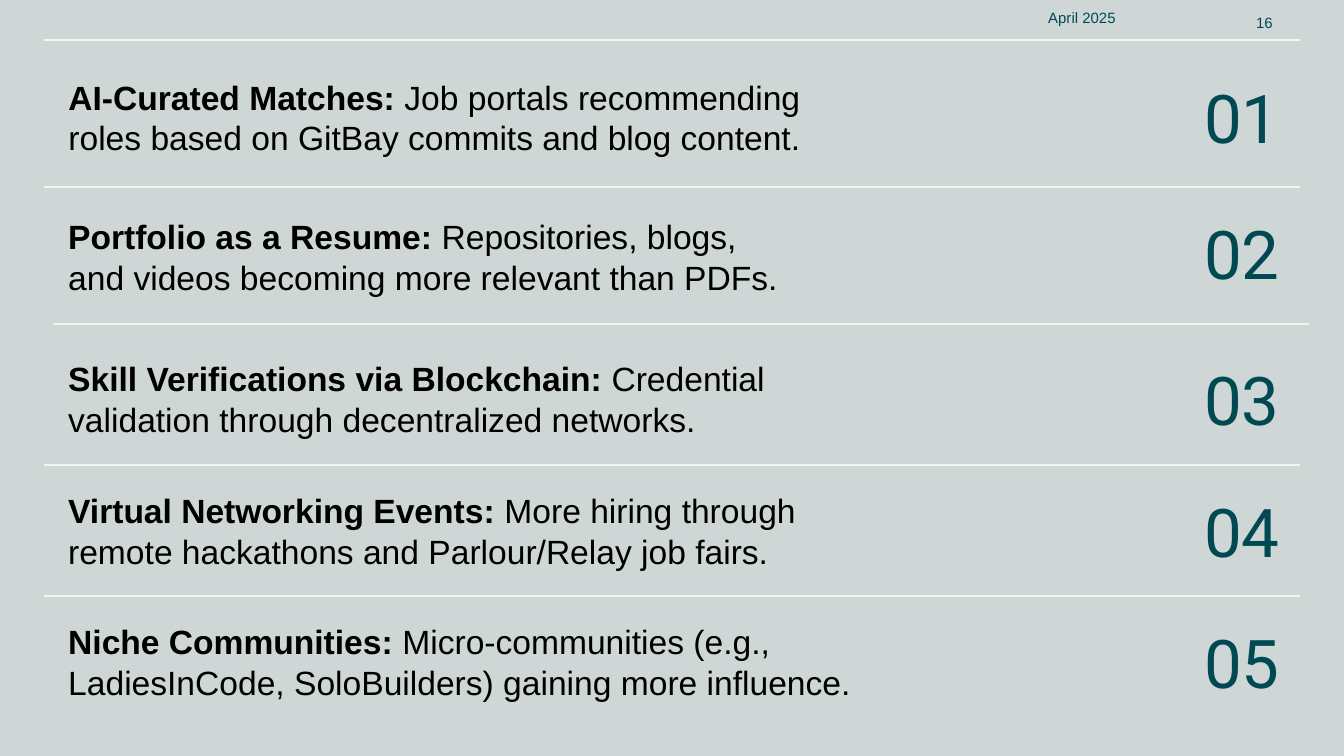
import pptx
import pptx.util
from pptx.dml.color import RGBColor
from pptx.enum.shapes import MSO_CONNECTOR
from pptx.enum.text import MSO_ANCHOR, MSO_AUTO_SIZE, PP_ALIGN
from pptx.oxml.ns import qn
from lxml import etree

PX = 914400 / 134.4
COLORS = {"background": "CED7D6", "rule": "F4F3EC", "accent": "004852", "text": "000000"}

# heading, description, (top, width, height) of the text, top of the number
TRENDS = [
    ("AI-Curated Matches:",
     " Job portals recommending roles based on GitBay commits and blog content.",
     (63, 785, 109), 63),
    ("Portfolio as a Resume:",
     " Repositories, blogs, and videos becoming more relevant than PDFs.",
     (184, 751, 145), 199),
    ("Skill Verifications via Blockchain:",
     " Credential validation through decentralized networks.",
     (345, 731, 109), 345),
    ("Virtual Networking Events:",
     " More hiring through remote hackathons and Parlour/Relay job fairs.",
     (477, 801, 109), 477),
    ("Niche Communities:",
     " Micro-communities (e.g., LadiesInCode, SoloBuilders) gaining more influence.",
     (608, 884, 109), 608),
]
TEXT_LEFT, NUMBER_LEFT, NUMBER_WIDTH, NUMBER_HEIGHT = 55, 978, 315, 109
RULES = [(44, 40), (44, 187), (53, 324), (44, 465), (44, 596)]  # left, y
RULE_WIDTH = 1256


def px(n):
    return pptx.util.Emu(round(n * PX))


def color(name):
    return RGBColor.from_string(COLORS[name])


def fill_text(sp, box, runs, size, name, font="Arial", align=PP_ALIGN.LEFT,
              anchor=MSO_ANCHOR.TOP):
    """Place a text shape and fill it with (text, bold) runs."""
    sp.left, sp.top, sp.width, sp.height = map(px, box)
    tf = sp.text_frame
    tf.word_wrap = True
    tf.auto_size = MSO_AUTO_SIZE.NONE
    tf.vertical_anchor = anchor
    tf.margin_left = tf.margin_right = tf.margin_top = tf.margin_bottom = pptx.util.Inches(0.1)
    p = tf.paragraphs[0]
    p.alignment = align
    p.line_spacing = 1.0
    p.space_before = pptx.util.Pt(0)
    for text, bold in runs:
        r = p.add_run()
        r.text = text
        r.font.size = pptx.util.Pt(size)
        r.font.name = font
        r.font.bold = bold
        r.font.color.rgb = color(name)


def add_text(s, *args, **kwargs):
    fill_text(s.shapes.add_textbox(0, 0, 0, 0), *args, **kwargs)


def add_rule(s, left, y):
    line = s.shapes.add_connector(MSO_CONNECTOR.STRAIGHT, px(left), px(y),
                                  px(left + RULE_WIDTH), px(y))
    line.line.color.rgb = color("rule")
    line.line.width = pptx.util.Pt(1.5)
    etree.SubElement(line._element.spPr, qn("a:effectLst"))


prs = pptx.Presentation()
prs.slide_width, prs.slide_height = px(1344), px(756)
s = prs.slides.add_slide(prs.slide_layouts[5])
s.background.fill.solid()
s.background.fill.fore_color.rgb = color("background")

for left, y in RULES:
    add_rule(s, left, y)

for i, (heading, description, (top, width, height), number_top) in enumerate(TRENDS):
    sp = s.shapes.title if i == 0 else s.shapes.add_textbox(0, 0, 0, 0)
    anchor = MSO_ANCHOR.MIDDLE if i == 1 else MSO_ANCHOR.TOP
    fill_text(sp, (TEXT_LEFT, top, width, height), [(heading, True), (description, False)],
              18, "text", anchor=anchor)
    add_text(s, (NUMBER_LEFT, number_top, NUMBER_WIDTH, NUMBER_HEIGHT),
             [(f"{i + 1:02d}", False)], 36, "accent", font="Roboto",
             align=PP_ALIGN.RIGHT)

add_text(s, (1035, 0, 179, 36), [("April 2025", False)], 8, "accent",
         anchor=MSO_ANCHOR.MIDDLE)
add_text(s, (1160, 3, 126, 40), [("16", False)], 8, "accent",
         align=PP_ALIGN.RIGHT, anchor=MSO_ANCHOR.MIDDLE)

prs.save("out.pptx")
